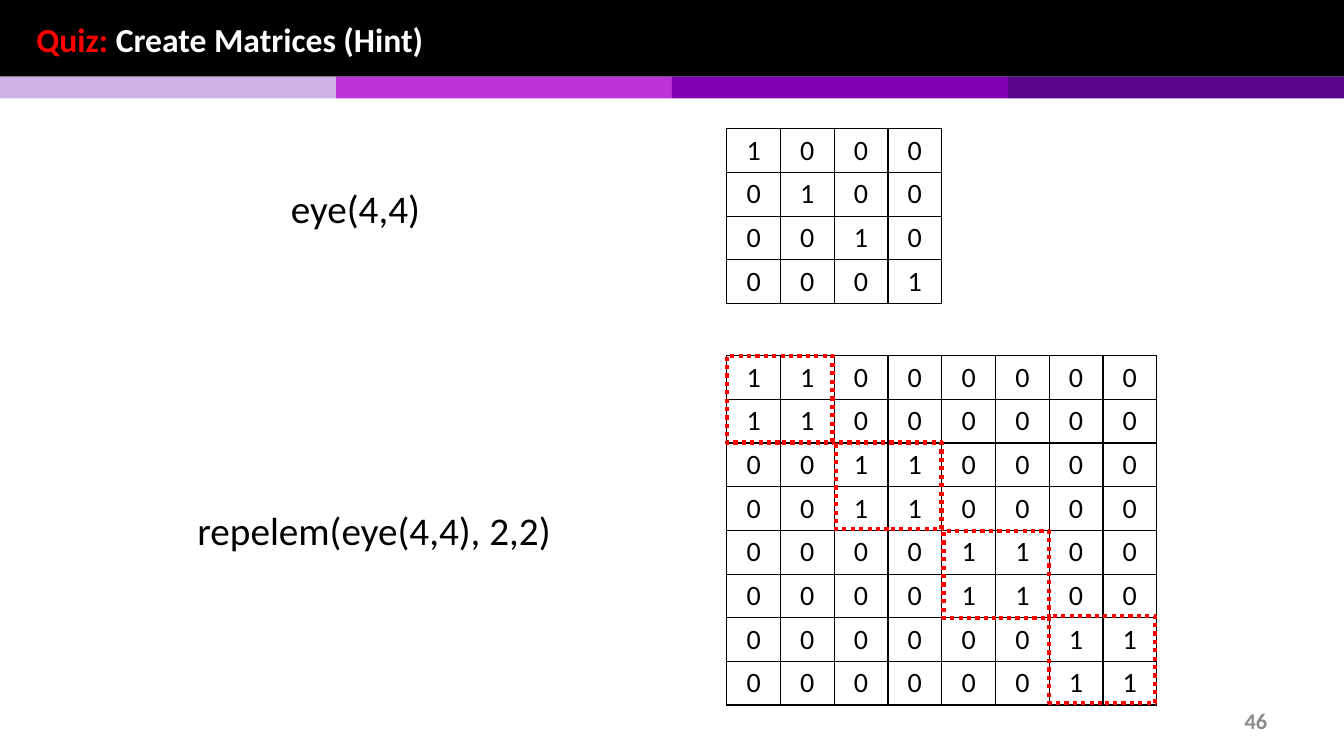
import pptx
import pptx.util
import pptx.dml.color
import pptx.enum.dml
import pptx.enum.shapes
import pptx.enum.text
import pptx.oxml

Pt = pptx.util.Pt
ALIGN = pptx.enum.text.PP_ALIGN
ANCHOR = pptx.enum.text.MSO_ANCHOR

COLORS = {
    "black": "000000", "white": "FFFFFF", "red": "FF0000", "gray": "8C8C8C",
    "lilac": "CFB3E6", "orchid": "BD33DA", "violet": "8000B3", "plum": "57058A",
}
SLIDE_WIDTH, SLIDE_HEIGHT = 960, 540
HEADER_HEIGHT, STRIPE_HEIGHT = 54.7, 15.6
COLUMN_WIDTH, ROW_HEIGHT, SIZE = 38.4, 31.2, 4
MATRIX_LEFT, EYE_TOP, REPELEM_TOP = 519.1, 92, 254.1

EYE = [[int(row == column) for column in range(SIZE)] for row in range(SIZE)]
REPELEM = [[EYE[row // 2][column // 2] for column in range(2 * SIZE)]
           for row in range(2 * SIZE)]
BLOCK_CORNERS = [(519.1, 254.1), (596.9, 316.1), (673.9, 379.4), (749.5, 440)]


def rgb(name):
    return pptx.dml.color.RGBColor.from_string(COLORS[name])


def set_attributes(target, values):
    for name, value in values.items():
        setattr(target, name, value)


def add_run(paragraph, text, size, color, bold=False):
    run = paragraph.add_run()
    run.text = text
    set_attributes(run.font, {"name": "Calibri", "size": Pt(size), "bold": bold})
    run.font.color.rgb = rgb(color)


def add_rectangle(slide, left, top, width, height, fill=None, line=None):
    shape = slide.shapes.add_shape(pptx.enum.shapes.MSO_SHAPE.RECTANGLE,
                                   Pt(left), Pt(top), Pt(width), Pt(height))
    shape.shadow.inherit = False
    if fill:
        shape.fill.solid()
        shape.fill.fore_color.rgb = rgb(fill)
    else:
        shape.fill.background()
    if line:
        shape.line.color.rgb = rgb(line)
        set_attributes(shape.line, {
            "width": Pt(3),
            "dash_style": pptx.enum.dml.MSO_LINE.ROUND_DOT,
        })
    else:
        shape.line.fill.background()


def add_text(slide, text, left, top, width, height, size, color="black",
             align=ALIGN.LEFT, anchor=ANCHOR.TOP, bold=False):
    box = slide.shapes.add_textbox(Pt(left), Pt(top), Pt(width), Pt(height))
    set_attributes(box.text_frame, {"word_wrap": True, "vertical_anchor": anchor})
    paragraph = box.text_frame.paragraphs[0]
    paragraph.alignment = align
    add_run(paragraph, text, size, color, bold)


def add_title(slide):
    title = slide.shapes.title
    set_attributes(title, {"left": Pt(18.7), "top": Pt(0.7),
                           "width": Pt(923), "height": Pt(54)})
    set_attributes(title.text_frame, {
        "word_wrap": True, "vertical_anchor": ANCHOR.MIDDLE,
        "auto_size": pptx.enum.text.MSO_AUTO_SIZE.NONE,
    })
    paragraph = title.text_frame.paragraphs[0]
    paragraph.alignment = ALIGN.LEFT
    add_run(paragraph, "Quiz: ", 24, "red", True)
    add_run(paragraph, "Create Matrices (Hint)", 24, "white", True)
    # Bring the title in front of the header bar
    slide.shapes._spTree.append(title._element)


def add_borders(cell):
    properties = cell._tc.get_or_add_tcPr()
    for position, side in enumerate(("lnL", "lnR", "lnT", "lnB")):
        properties.insert(position, pptx.oxml.parse_xml(
            f'<a:{side} xmlns:a="http://schemas.openxmlformats.org/drawingml/2006/main"'
            f' w="{Pt(1)}"><a:solidFill><a:srgbClr val="{COLORS["black"]}"/>'
            f'</a:solidFill></a:{side}>'))


def add_matrix(slide, values, left, top):
    rows, columns = len(values), len(values[0])
    table = slide.shapes.add_table(
        rows, columns, Pt(left), Pt(top),
        Pt(columns * COLUMN_WIDTH), Pt(rows * ROW_HEIGHT)).table
    set_attributes(table, {"first_row": False, "horz_banding": False})
    for column in table.columns:
        column.width = Pt(COLUMN_WIDTH)
    for row, row_values in zip(table.rows, values):
        row.height = Pt(ROW_HEIGHT)
        for cell, value in zip(row.cells, row_values):
            set_attributes(cell, {
                "vertical_anchor": ANCHOR.MIDDLE, "margin_left": 0,
                "margin_right": 0, "margin_top": 0, "margin_bottom": 0,
            })
            cell.fill.background()
            add_borders(cell)
            paragraph = cell.text_frame.paragraphs[0]
            paragraph.alignment = ALIGN.CENTER
            add_run(paragraph, str(value), 20, "black")


def main():
    presentation = pptx.Presentation()
    set_attributes(presentation, {"slide_width": Pt(SLIDE_WIDTH),
                                  "slide_height": Pt(SLIDE_HEIGHT)})
    slide = presentation.slides.add_slide(presentation.slide_layouts[5])

    # Header bar, stripes and title
    add_rectangle(slide, 0, 0, SLIDE_WIDTH, HEADER_HEIGHT, fill="black")
    stripes = ("lilac", "orchid", "violet", "plum")
    stripe_width = SLIDE_WIDTH / len(stripes)
    for index, color in enumerate(stripes):
        add_rectangle(slide, index * stripe_width, HEADER_HEIGHT,
                      stripe_width, STRIPE_HEIGHT, fill=color)
    add_title(slide)

    # Identity matrix
    add_text(slide, "eye(4,4)", 27.4, 128.2, 453, 41, 28, align=ALIGN.CENTER)
    add_matrix(slide, EYE, MATRIX_LEFT, EYE_TOP)

    # Repeated matrix, built from four quadrants
    for row in (0, SIZE):
        for column in (0, SIZE):
            quadrant = [line[column:column + SIZE]
                        for line in REPELEM[row:row + SIZE]]
            add_matrix(slide, quadrant, MATRIX_LEFT + column * COLUMN_WIDTH,
                       REPELEM_TOP + row * ROW_HEIGHT)
    for left, top in BLOCK_CORNERS:
        add_rectangle(slide, left, top, 75.6, 62, line="red")
    add_text(slide, "repelem(eye(4,4), 2,2)", 133.9, 357.8, 453, 41, 28)

    # Slide number
    add_text(slide, "46", 688.3, 500.4, 224, 28.8, 16, "gray",
             ALIGN.RIGHT, ANCHOR.MIDDLE, True)

    presentation.save("out.pptx")


if __name__ == "__main__":
    main()
